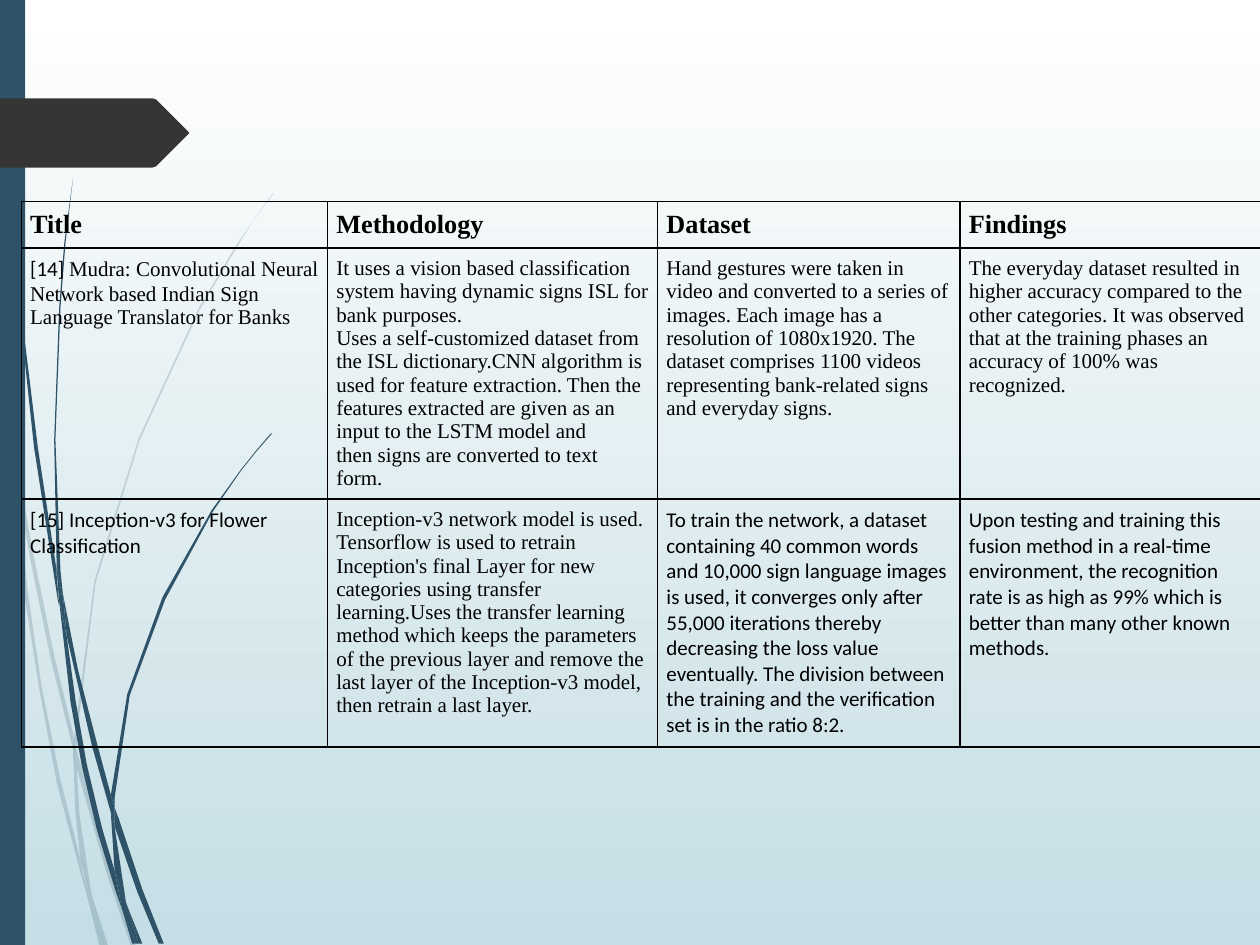
from lxml import etree
from pptx import Presentation
from pptx import util as u
from pptx.dml.color import RGBColor
from pptx.enum import shapes
from pptx.oxml import ns

THEME = {
    "sky": RGBColor.from_string("FFFFFF"), "mist": RGBColor.from_string("C5DEE5"),
    "stem": RGBColor.from_string("2E5369"), "tag": RGBColor.from_string("353535"),
    "ink": RGBColor.from_string("000000"),
    "head": u.Pt(15), "body": u.Pt(12), "rule": u.Pt(1),
    "serif": "Times New Roman", "sans": "Calibri",
}
UNIT = u.Inches(0.01)  # the drawing grid: 1000 columns by 750 rows

# Outlines on the grid, one closed piece a line: x,y x,y ...
FAINT = """
8,350 6,322 0,282 0,299 7,344
40,522 59,599 59,586 43,520 25,433 10,345 12,376 25,449
64,607 61,596 61,610 85,694 104,751 108,751 88,692
83,751 86,751 73,711
64,683 48,619 33,545 22,469 12,376 8,350 19,470 31,546 45,621 64,693 70,714 69,707
58,599 60,646 64,683 67,692 73,711 72,706 63,646 61,610 61,608
61,584 76,462 111,349 159,245 187,198 201,175 217,154 217,153 201,175 186,197 158,244 110,348 75,461 59,584 59,586 61,596
70,714 79,751 82,751
61,608 61,610 61,596 59,586 58,599
67,692 65,683 69,707 70,714 82,751 83,751 73,711
"""
DARK = """
5,110 14,233 27,355 46,477 47,481 45,457 45,453 30,355 15,232 6,109 4,48 3,0 2,0 3,48
73,592 88,645 88,633 88,631 77,590 62,532 50,472 53,505
94,649 91,641 91,656 109,708 126,749 130,749 113,706
91,691 81,657 69,607 60,556 53,505 47,477 56,557 65,608 77,659 92,708 97,722 96,717
50,472 48,453 44,349 48,244 52,193 58,141 51,193 47,244 43,349 45,449 49,472
110,749 113,749 101,719
47,477 53,505 50,472 49,472 45,449 45,453
91,633 103,552 131,476 169,406 191,374 203,359 216,344 215,344 203,358 191,373 168,405 129,474 101,551 88,631 91,641
97,722 105,749 108,749
88,645 91,691 96,706 101,719 100,716 91,656 90,651
88,645 90,651 91,656 91,641 88,631 88,633
96,706 91,691 96,717 97,722 108,749 110,749 101,719
"""
TAG = """
149,107 124,132 121,133 0,133 0,78 121,78 124,79 149,104 150,105 150,106
"""

# Each cell is its font and its text
SERIF, SANS = THEME["serif"], THEME["sans"]
ROWS = [
    [(SERIF, "Title"), (SERIF, "Methodology"), (SERIF, "Dataset"), (SERIF, "Findings")],
    [
        (SANS, "[14] "),
        (SERIF, "It uses a vision based classification system having dynamic signs ISL for bank purposes.\n"
                "Uses a self-customized dataset from the ISL dictionary.CNN algorithm is\n"
                "used for feature extraction. Then the features extracted are given as an input to the LSTM model and\n"
                "then signs are converted to text form."),
        (SERIF, "Hand gestures were taken in video and converted to a series of images. Each image has a "
                "resolution of 1080x1920. The dataset comprises 1100 videos representing bank-related signs "
                "and everyday signs."),
        (SERIF, "The everyday dataset resulted in higher accuracy compared to the other categories. It was "
                "observed that at the training phases an accuracy of 100% was recognized."),
    ],
    [
        (SANS, "[15] Inception-v3 for Flower Classification"),
        (SERIF, "Inception-v3 network model is used. Tensorflow is used to retrain Inception's final Layer for "
                "new categories using transfer learning.Uses the transfer learning method which keeps the "
                "parameters of the previous layer and remove the last layer of the Inception-v3 model, then "
                "retrain a last layer."),
        (SANS, "To train the network, a dataset containing 40 common words and 10,000 sign language images is "
               "used, it converges only after 55,000 iterations thereby decreasing the loss value eventually. "
               "The division between the training and the verification set is in the ratio 8:2."),
        (SANS, "Upon testing and training this fusion method in a real-time environment, the recognition rate "
               "is as high as 99% which is better than many other known methods."),
    ],
]
COLS = [243, 262, 240, 240]
HIGHS = [37, 199, 196]


def paint(shape, tint, alpha=100):
    """Give a shape a plain fill, alpha percent opaque, with no line or shadow."""
    shape.shadow.inherit = False
    shape.line.fill.background()
    shape.fill.solid()
    shape.fill.fore_color.rgb = tint
    if alpha < 100:
        color = shape.fill._xPr.find(".//" + ns.qn("a:srgbClr"))
        etree.SubElement(color, ns.qn("a:alpha"), val=str(alpha * 1000))


def edge(cell):
    """Rule all four sides of a cell; the lines must come before its fill."""
    props = cell._tc.get_or_add_tcPr()
    for spot, side in enumerate(("lnL", "lnR", "lnT", "lnB")):
        line = etree.Element(ns.qn("a:" + side), w=str(THEME["rule"]))
        fill = etree.SubElement(line, ns.qn("a:solidFill"))
        etree.SubElement(fill, ns.qn("a:srgbClr"), val=str(THEME["ink"]))
        props.insert(spot, line)


deck = Presentation()
deck.slide_width, deck.slide_height = 1000 * UNIT, 750 * UNIT
slide = deck.slides.add_slide(deck.slide_layouts[6])

back = slide.background.fill
back.gradient()
back.gradient_angle = 270
for stop, tint, place in zip(back.gradient_stops, ("sky", "mist"), (0, 1)):
    stop.color.rgb = THEME[tint]
    stop.position = place

# Grass, side bar and tag
for art, tint, alpha in ((FAINT, "stem", 20), (DARK, "stem", 100), (TAG, "tag", 100)):
    if art is TAG:
        bar = slide.shapes.add_shape(shapes.MSO_SHAPE.RECTANGLE, 0, 0, 20 * UNIT, deck.slide_height)
        paint(bar, THEME["stem"])
    for row in art.strip().splitlines():
        dots = [tuple(map(int, dot.split(","))) for dot in row.split()]
        pen = slide.shapes.build_freeform(*dots[0], scale=UNIT)
        pen.add_line_segments(dots[1:], close=True)
        paint(pen.convert_to_shape(), THEME[tint], alpha)

# Table of papers
grid = slide.shapes.add_table(len(HIGHS), len(COLS), 17 * UNIT, 160 * UNIT,
                              sum(COLS) * UNIT, sum(HIGHS) * UNIT).table
grid.first_row = grid.horz_banding = False
for col, wide in zip(grid.columns, COLS):
    col.width = wide * UNIT
for r, (row, high) in enumerate(zip(ROWS, HIGHS)):
    grid.rows[r].height = high * UNIT
    for c, (face, words) in enumerate(row):
        cell = grid.cell(r, c)
        cell.margin_left = cell.margin_right = cell.margin_top = cell.margin_bottom = 7 * UNIT
        cell.fill.background()
        edge(cell)
        cell.text_frame.text = words
        for para in cell.text_frame.paragraphs:
            para.font.name = face
            para.font.size = THEME["body" if r else "head"]
            para.font.bold = r == 0
            para.font.color.rgb = THEME["ink"]

# The first paper's number and name differ in font
para = grid.cell(1, 0).text_frame.paragraphs[0]
name = para.add_run()
name.text = "Mudra: Convolutional Neural Network based Indian Sign Language Translator for Banks"
name.font.name = SERIF

deck.save("out.pptx")
